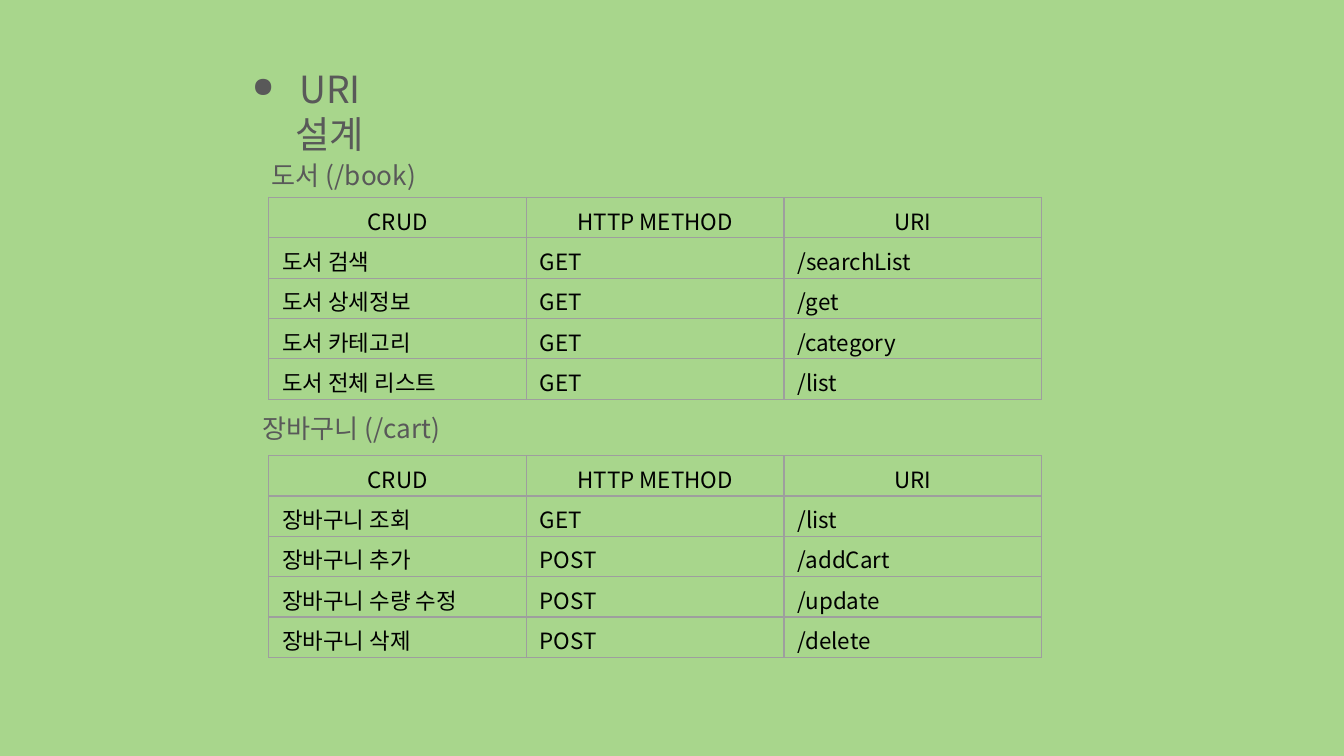
from dataclasses import dataclass

from lxml import etree
from pptx import Presentation
from pptx.dml.color import RGBColor
from pptx.enum.text import MSO_ANCHOR, PP_ALIGN
from pptx.oxml.ns import qn
from pptx.util import Inches, Pt

CENTER, LEFT = PP_ALIGN.CENTER, PP_ALIGN.LEFT
MIDDLE = MSO_ANCHOR.MIDDLE
FONT = "Noto Sans CJK KR"
COLORS = {
    "background": "A8D68C",
    "heading": "595959",
    "cell": "000000",
    "border": "9E9E9E",
}
SLIDE_WIDTH = 10
SLIDE_HEIGHT = SLIDE_WIDTH * 9 / 16
HEADER = ("CRUD", "HTTP METHOD", "URI")
TABLE_LEFT, TABLE_WIDTH, ROW_HEIGHT = 2, 5.75, 0.3


@dataclass(frozen=True)
class Label:
    text: str
    left: float
    top: float
    width: float
    height: float
    size: int = 14
    indent: float = 0.41
    bullet: str = ""


@dataclass(frozen=True)
class Resource:
    label: Label
    table_top: float
    rows: tuple[tuple[str, str, str], ...]


TITLE = Label("URI 설계", 1.42, 0.68, 1.57, 0.29, size=20, indent=0.5, bullet="●")
RESOURCES = (
    Resource(
        Label("도서 (/book)", 1.42, 1.15, 1.87, 0.31),
        1.47,
        (
            ("도서 검색", "GET", "/searchList"),
            ("도서 상세정보", "GET", "/get"),
            ("도서 카테고리", "GET", "/category"),
            ("도서 전체 리스트", "GET", "/list"),
        ),
    ),
    Resource(
        Label("장바구니 (/cart)", 1.26, 3.03, 2.3, 0.31),
        3.39,
        (
            ("장바구니 조회", "GET", "/list"),
            ("장바구니 추가", "POST", "/addCart"),
            ("장바구니 수량 수정", "POST", "/update"),
            ("장바구니 삭제", "POST", "/delete"),
        ),
    ),
)


def format_text(paragraph, size: int, color: str, align) -> None:
    paragraph.alignment = align
    for run in paragraph.runs:
        run.font.size = Pt(size)
        run.font.name = FONT
        run.font.color.rgb = RGBColor.from_string(COLORS[color])
        east_asian = etree.SubElement(run.font._element, qn("a:ea"))
        east_asian.set("typeface", FONT)


def add_label(slide, label: Label) -> None:
    box = slide.shapes.add_textbox(
        Inches(label.left), Inches(label.top), Inches(label.width), Inches(label.height)
    )
    frame = box.text_frame
    frame.word_wrap = True
    frame.vertical_anchor = MIDDLE
    frame.margin_left = frame.margin_right = Inches(0.1)
    frame.margin_top = frame.margin_bottom = Inches(0.1)
    frame.text = label.text
    paragraph = frame.paragraphs[0]
    properties = paragraph._p.get_or_add_pPr()
    properties.set("marL", str(Inches(label.indent)))
    if label.bullet:
        properties.set("indent", str(Inches(-0.35)))
        bullet_color = etree.SubElement(properties, qn("a:buClr"))
        etree.SubElement(bullet_color, qn("a:srgbClr")).set("val", COLORS["heading"])
        etree.SubElement(properties, qn("a:buSzPct")).set("val", "75000")
        etree.SubElement(properties, qn("a:buChar")).set("char", label.bullet)
    format_text(paragraph, label.size, "heading", CENTER)


def add_borders(cell) -> None:
    properties = cell._tc.get_or_add_tcPr()
    for side in ("a:lnL", "a:lnR", "a:lnT", "a:lnB"):
        line = etree.SubElement(properties, qn(side))
        line.set("w", str(Pt(0.75)))
        fill = etree.SubElement(line, qn("a:solidFill"))
        etree.SubElement(fill, qn("a:srgbClr")).set("val", COLORS["border"])


def add_uri_table(slide, resource: Resource) -> None:
    rows = (HEADER, *resource.rows)
    table = slide.shapes.add_table(
        len(rows), len(HEADER), Inches(TABLE_LEFT), Inches(resource.table_top),
        Inches(TABLE_WIDTH), Inches(ROW_HEIGHT * len(rows)),
    ).table
    table.first_row = table.horz_banding = False
    for column in table.columns:
        column.width = Inches(TABLE_WIDTH / len(HEADER))
    for row_index, values in enumerate(rows):
        table.rows[row_index].height = Inches(ROW_HEIGHT)
        for column_index, value in enumerate(values):
            cell = table.cell(row_index, column_index)
            cell.text = value
            cell.margin_left = cell.margin_right = Inches(0.1)
            cell.margin_top, cell.margin_bottom = Inches(0.05), Inches(0.01)
            add_borders(cell)
            cell.fill.background()
            align = CENTER if row_index == 0 else LEFT
            format_text(cell.text_frame.paragraphs[0], 12, "cell", align)


def main() -> None:
    presentation = Presentation()
    presentation.slide_width = Inches(SLIDE_WIDTH)
    presentation.slide_height = Inches(SLIDE_HEIGHT)
    slide = presentation.slides.add_slide(presentation.slide_layouts[6])
    background = slide.background.fill
    background.solid()
    background.fore_color.rgb = RGBColor.from_string(COLORS["background"])

    # Slide heading
    add_label(slide, TITLE)

    # One labelled table per resource
    for resource in RESOURCES:
        add_label(slide, resource.label)
        add_uri_table(slide, resource)

    presentation.save("out.pptx")


if __name__ == "__main__":
    main()
